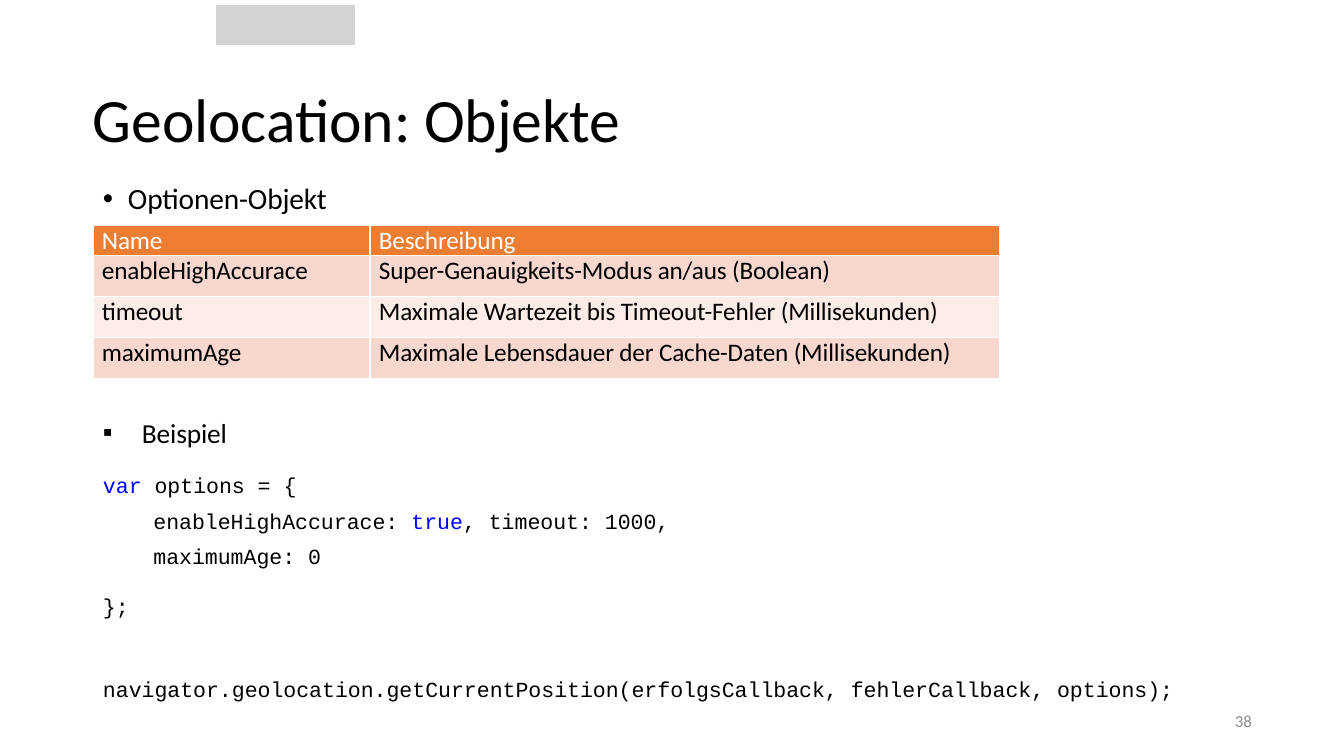
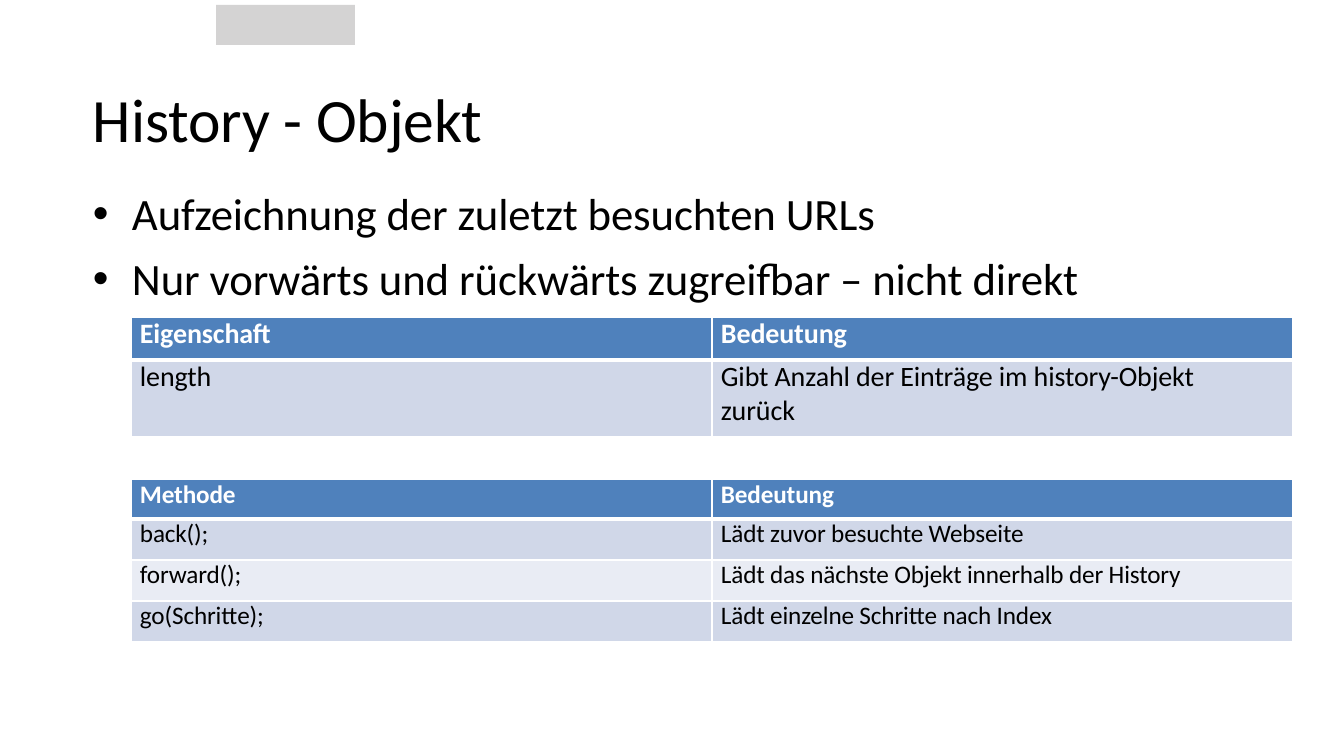
from lxml.etree import SubElement
from pptx import Presentation
from pptx.dml.color import RGBColor
from pptx.enum.shapes import MSO_SHAPE as Shape
from pptx.enum.text import MSO_ANCHOR as Anchor, MSO_AUTO_SIZE as AutoSize, PP_ALIGN as Align
from pptx.oxml.ns import qn
from pptx.util import Emu, Pt

COLORS = dict(
    black="000000", white="FFFFFF", band="D4D3D3", number="8C8C8C", keyword="0000FF",
    orange="ED7D31", orange_mid="F8D7CE", orange_pale="FCECE8",
    blue="4F81BC", blue_mid="D0D7E8", blue_pale="E9ECF4",
)
SANS, MONO = "Calibri", "Courier New"
BAND = (216, 5, 139, 40)
TITLE = (93, 50, 1159, 136)
PAGE_NUMBER = (950, 701, 302, 40)
ORANGE = ("orange", "orange_mid", "orange_pale")
BLUE = ("blue", "blue_mid", "blue_pale")

CODE_LINES = [
    (10, [("var", "keyword"), (" options = {", "black")]),
    (0, [("\tenableHighAccurace: ", "black"), ("true", "keyword"), (", timeout: 1000,", "black")]),
    (0, [("\tmaximumAge: 0", "black")]),
    (10, [("};", "black")]),
    (34, [("navigator.geolocation.getCurrentPosition(erfolgsCallback, fehlerCallback, options);", "black")]),
]
CODE = [
    dict(runs=runs, before=before, line=1.37, size=15.4, font=MONO, tracking=0)
    for before, runs in CODE_LINES
]

SLIDES = [
    dict(
        title="Geolocation: Objekte",
        number="38",
        body=dict(
            at=(93, 165, 1159, 551),
            inset=(10, 5),
            paras=[
                dict(runs=[("Optionen-Objekt", "black")], bullet="•", hang=25, line=1.3, size=21),
                dict(runs=[("Beispiel", "black")], bullet="▪", hang=39, line=1.5, size=19.6, before=131),
                *CODE,
            ],
        ),
        tables=[
            dict(
                at=(93, 225), columns=(277, 630), heights=(30, 41, 41, 41),
                palette=ORANGE, size=18, strong=False,
                rows=[
                    ("Name", "Beschreibung"),
                    ("enableHighAccurace", "Super-Genauigkeits-Modus an/aus (Boolean)"),
                    ("timeout", "Maximale Wartezeit bis Timeout-Fehler (Millisekunden)"),
                    ("maximumAge", "Maximale Lebensdauer der Cache-Daten (Millisekunden)"),
                ],
            ),
        ],
    ),
    dict(
        title="History - Objekt",
        number=None,
        body=dict(
            at=(93, 186, 995, 122),
            inset=(0, 0),
            paras=[
                dict(runs=[("Aufzeichnung der zuletzt besuchten URLs", "black")],
                     bullet="•", hang=39, size=32),
                dict(runs=[("Nur vorwärts und rückwärts zugreifbar – nicht direkt", "black")],
                     bullet="•", hang=39, size=32, before=7.7),
            ],
        ),
        tables=[
            dict(
                at=(131, 317), columns=(581, 581), heights=(43, 77),
                palette=BLUE, size=20, strong=True,
                rows=[
                    ("Eigenschaft", "Bedeutung"),
                    ("length", "Gibt Anzahl der Einträge im history-Objekt zurück"),
                ],
            ),
            dict(
                at=(131, 479), columns=(581, 581), heights=(40, 41, 41, 41),
                palette=BLUE, size=18, strong=True,
                rows=[
                    ("Methode", "Bedeutung"),
                    ("back();", "Lädt zuvor besuchte Webseite"),
                    ("forward();", "Lädt das nächste Objekt innerhalb der History"),
                    ("go(Schritte);", "Lädt einzelne Schritte nach Index"),
                ],
            ),
        ],
    ),
]


def px(length):
    return Emu(round(length * 914400 / 100.8))


def rgb(name):
    return RGBColor.from_string(COLORS[name])


def place(shape, at):
    shape.left, shape.top, shape.width, shape.height = map(px, at)


def write(para, text, size=18, color="black", font=SANS, bold=False, tracking=-0.1):
    span = para.add_run()
    span.text = text
    span.font.name = font
    span.font.size = Pt(size)
    span.font.bold = bold
    span.font.color.rgb = rgb(color)
    span._r.get_or_add_rPr().set("spc", str(round(tracking * 100)))


def prepare_frame(shape, inset=(0, 0), anchor=Anchor.TOP):
    frame = shape.text_frame
    frame.word_wrap = True
    frame.auto_size = AutoSize.NONE
    frame.vertical_anchor = anchor
    frame.margin_left = frame.margin_right = px(inset[0])
    frame.margin_top = frame.margin_bottom = px(inset[1])
    return frame


def set_bullet(para, bullet, hang):
    props = para._p.get_or_add_pPr()
    props.set("marL", str(px(hang)))
    props.set("indent", str(px(-hang)))
    if bullet:
        SubElement(props, qn("a:buChar")).set("char", bullet)
    else:
        SubElement(props, qn("a:buNone"))


def fill_body(shape, at, inset, paras):
    place(shape, at)
    frame = prepare_frame(shape, inset)
    for index, item in enumerate(paras):
        para = frame.add_paragraph() if index else frame.paragraphs[0]
        para.alignment = Align.LEFT
        para.line_spacing = item.get("line", 1.0)
        para.space_before = Pt(item.get("before", 0))
        set_bullet(para, item.get("bullet"), item.get("hang", 0))
        look = {key: item[key] for key in ("size", "font", "tracking") if key in item}
        for text, color in item["runs"]:
            write(para, text, color=color, **look)


def set_borders(cell, top, bottom):
    props = cell._tc.get_or_add_tcPr()
    for side, width in (("L", 1), ("R", 1), ("T", top), ("B", bottom)):
        line = SubElement(props, qn(f"a:ln{side}"), w=str(Pt(width)))
        SubElement(SubElement(line, qn("a:solidFill")), qn("a:srgbClr"), val=COLORS["white"])


def add_grid(page, at, columns, heights, palette, size, strong, rows):
    bounds = (*at, sum(columns), sum(heights))
    table = page.shapes.add_table(len(rows), len(columns), *map(px, bounds)).table
    table.horz_banding = False
    for column, width in zip(table.columns, columns):
        column.width = px(width)
    rule = 3 if strong else 1
    for index, (row, height, texts) in enumerate(zip(table.rows, heights, rows)):
        row.height = px(height)
        header = index == 0
        fill = palette[0] if header else palette[2 - index % 2]
        for cell, text in zip(row.cells, texts):
            cell.margin_left, cell.margin_right = px(9), px(30)
            cell.margin_top = cell.margin_bottom = 0
            set_borders(cell, rule if index == 1 else 1, rule if header else 1)
            cell.fill.solid()
            cell.fill.fore_color.rgb = rgb(fill)
            write(cell.text_frame.paragraphs[0], text, size=size,
                  color="white" if header else "black", bold=header and strong)


def add_layout_band(page, layout):
    band = page.shapes.add_shape(Shape.RECTANGLE, *map(px, BAND))
    band.shadow.inherit = False
    band.fill.solid()
    band.fill.fore_color.rgb = rgb("band")
    band.line.fill.background()
    layout.shapes.element.insert(2, band.element)


def build_page(page, title, number, body, tables):
    heading = page.shapes.title
    place(heading, TITLE)
    para = prepare_frame(heading, anchor=Anchor.MIDDLE).paragraphs[0]
    para.alignment = Align.LEFT
    write(para, title, size=44)
    fill_body(page.placeholders[1], **body)
    if number:
        box = page.shapes.add_textbox(*map(px, PAGE_NUMBER))
        para = prepare_frame(box, anchor=Anchor.MIDDLE).paragraphs[0]
        para.alignment = Align.RIGHT
        write(para, number, size=12, color="number", tracking=0)
    for table in tables:
        add_grid(page, **table)


def main():
    deck = Presentation()
    deck.slide_width, deck.slide_height = px(1344), px(756)
    layout = deck.slide_layouts[1]
    for content in SLIDES:
        build_page(deck.slides.add_slide(layout), **content)
    add_layout_band(deck.slides[0], layout)
    deck.save("out.pptx")


if __name__ == "__main__":
    main()
